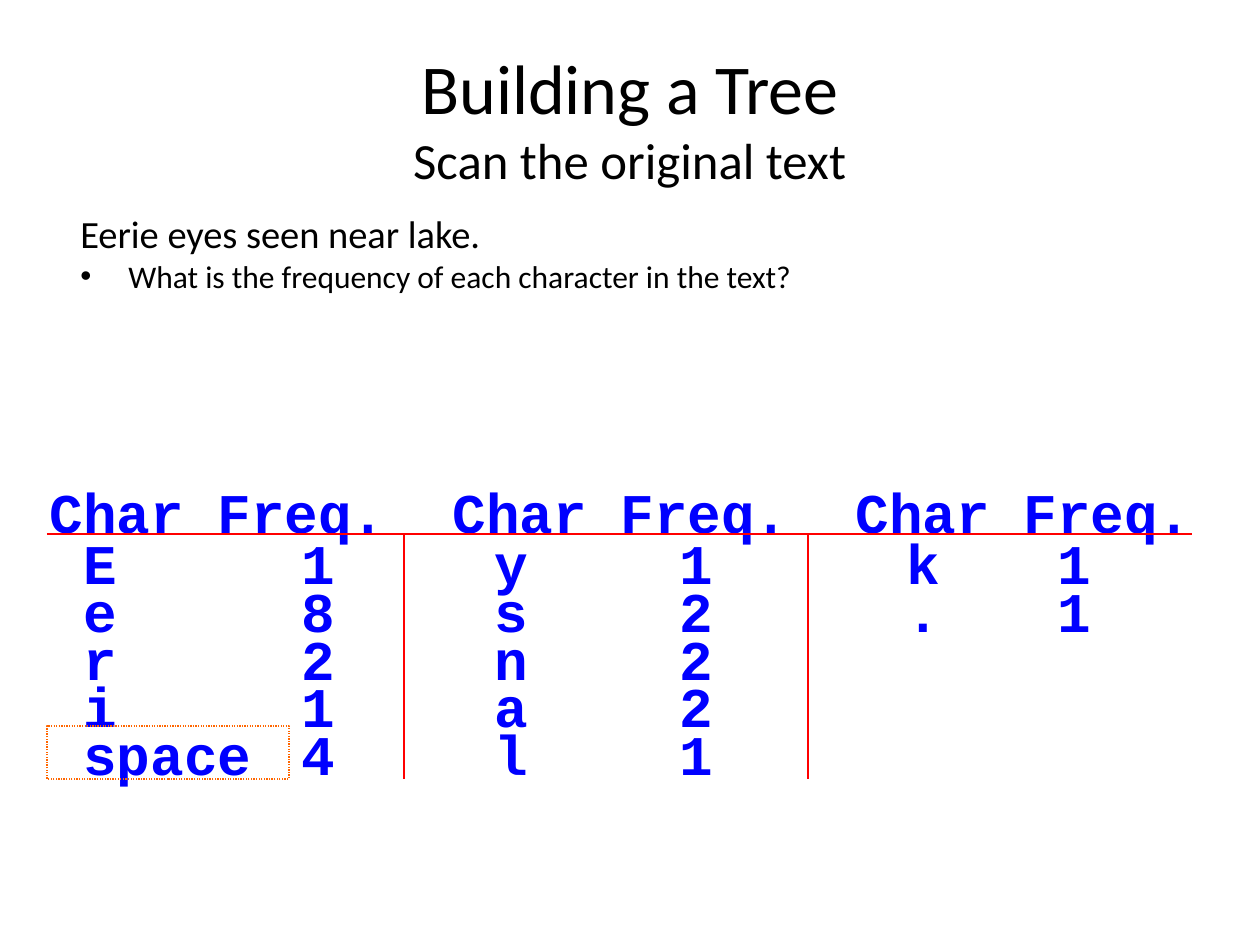
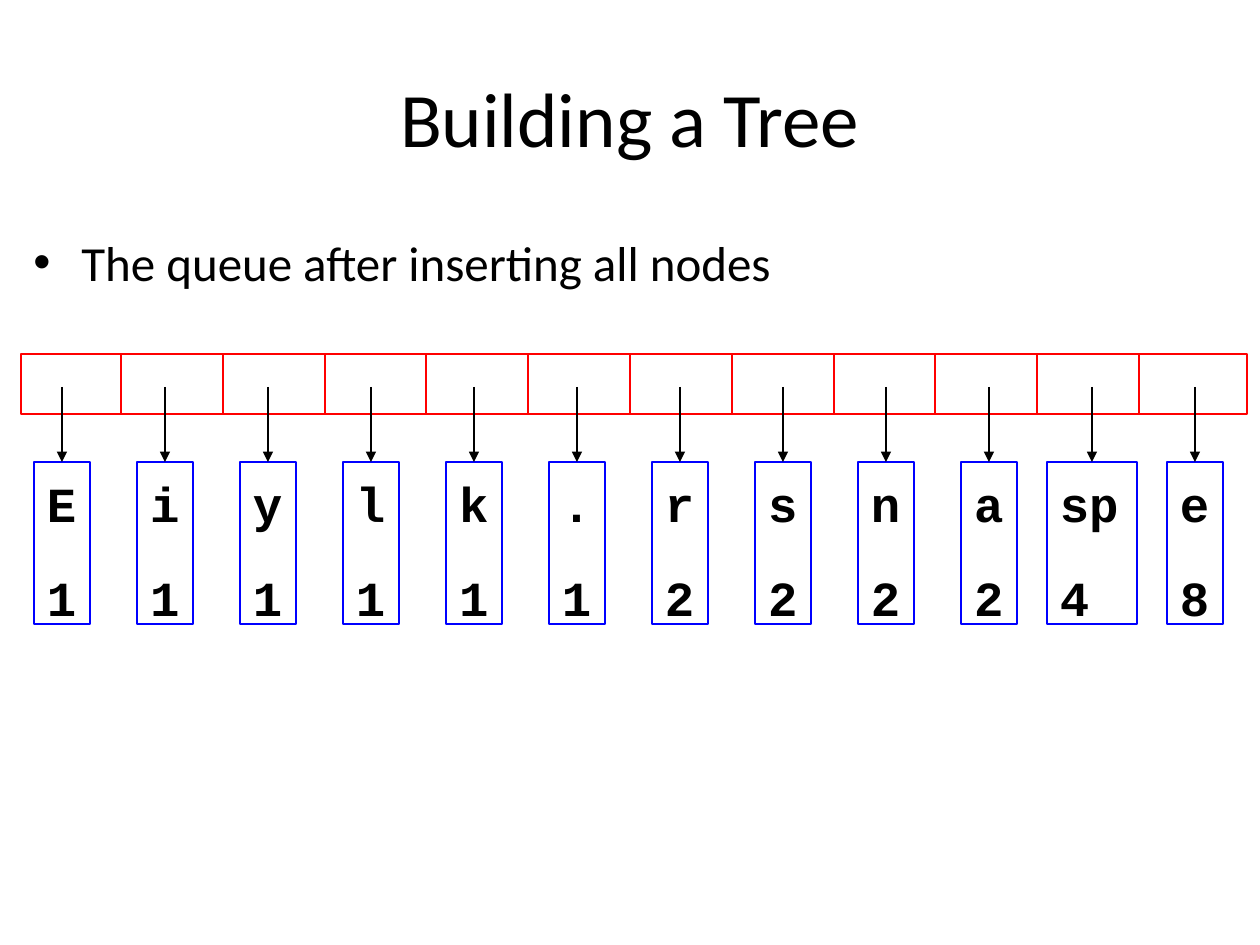
import dataclasses

import pptx
import pptx.dml.color
import pptx.enum.dml
import pptx.enum.shapes
import pptx.enum.text
import pptx.oxml.ns
import pptx.util
from lxml import etree

EMU_PER_PX = 914400 / 126
TITLE_BOX = (63, 38, 1134, 158)


@dataclasses.dataclass(frozen=True)
class Theme:
    """Colours, fonts and type sizes shared by the slides."""
    ink: str = "000000"
    paper: str = "FFFFFF"
    blue: str = "0000FF"
    red: str = "FF0000"
    orange: str = "FF6600"
    sans: str = "Calibri"
    mono: str = "Courier New"
    title: int = 44
    title_small: int = 40
    subtitle: int = 29
    bullet: int = 28
    sample: int = 22
    question: int = 18
    frequency: int = 32
    node: int = 28
    rule: float = 0.75


THEME = Theme()

FREQUENCIES = [
    ["Char", "Freq.", "Char", "Freq.", "Char", "Freq."],
    ["E", "1", "y", "1", "k", "1"],
    ["e", "8", "s", "2", ".", "1"],
    ["r", "2", "n", "2"],
    ["i", "1", "a", "2"],
    ["space", "4", "l", "1"],
]
HEADER_STOPS = [168, 403, 571, 806, 974]
ENTRY_STOPS = [34, 252, 445, 630, 857, 1008]

QUEUE = [("E", 1), ("i", 1), ("y", 1), ("l", 1), ("k", 1), (".", 1),
         ("r", 2), ("s", 2), ("n", 2), ("a", 2), ("sp", 4), ("e", 8)]


def px(length):
    """Turn pixels into EMU."""
    return pptx.util.Emu(round(length * EMU_PER_PX))


def rgb(colour):
    """Turn a hex string into a colour."""
    return pptx.dml.color.RGBColor.from_string(colour)


def add_run(paragraph, text, size, font=THEME.sans, colour=THEME.ink, bold=False):
    """Add one styled run to a paragraph."""
    run = paragraph.add_run()
    run.text = text
    run.font.size = pptx.util.Pt(size)
    run.font.name = font
    run.font.bold = bold
    run.font.color.rgb = rgb(colour)


def add_text_box(slide, box):
    """Add a wrapping text box and return its frame."""
    frame = slide.shapes.add_textbox(*map(px, box)).text_frame
    frame.word_wrap = True
    return frame


def add_rect(slide, box, line, fill=None):
    """Add an outlined rectangle."""
    rect = slide.shapes.add_shape(
        pptx.enum.shapes.MSO_SHAPE.RECTANGLE, *map(px, box))
    rect.shadow.inherit = False
    rect.line.color.rgb = rgb(line)
    rect.line.width = pptx.util.Pt(THEME.rule)
    if fill:
        rect.fill.solid()
        rect.fill.fore_color.rgb = rgb(fill)
    else:
        rect.fill.background()
    return rect


def add_line(slide, start, end, colour):
    """Add a straight line between two points."""
    line = slide.shapes.add_connector(
        pptx.enum.shapes.MSO_CONNECTOR.STRAIGHT, *map(px, start + end))
    line.line.color.rgb = rgb(colour)
    line.line.width = pptx.util.Pt(THEME.rule)
    properties = line._element.spPr
    etree.SubElement(properties, pptx.oxml.ns.qn("a:effectLst"))
    return line


def add_arrow(slide, start, target):
    """Add an arrow from a point to the top middle of a shape."""
    arrow = add_line(slide, start, start, THEME.ink)
    arrow.end_connect(target, 0)
    outline = arrow.line._get_or_add_ln()
    etree.SubElement(outline, pptx.oxml.ns.qn("a:tailEnd"), type="triangle")


def set_bullet(paragraph, indent):
    """Give a paragraph a hanging round bullet."""
    properties = paragraph._p.get_or_add_pPr()
    properties.set("marL", str(px(indent)))
    properties.set("indent", str(-px(indent)))
    etree.SubElement(properties, pptx.oxml.ns.qn("a:buFont"), typeface="Arial")
    etree.SubElement(properties, pptx.oxml.ns.qn("a:buChar"), char="•")


def set_tab_stops(paragraph, stops):
    """Set left tab stops at the given distances."""
    properties = paragraph._p.get_or_add_pPr()
    tabs = etree.SubElement(properties, pptx.oxml.ns.qn("a:tabLst"))
    for stop in stops:
        etree.SubElement(tabs, pptx.oxml.ns.qn("a:tab"), pos=str(px(stop)), algn="l")


def add_title(slide, size, subtitle=None):
    """Place the centred title, with a smaller second line if given."""
    frame = add_text_box(slide, TITLE_BOX)
    frame.vertical_anchor = pptx.enum.text.MSO_ANCHOR.MIDDLE
    heading = frame.paragraphs[0]
    heading.alignment = pptx.enum.text.PP_ALIGN.CENTER
    add_run(heading, "Building a Tree", size)
    if subtitle:
        heading.add_line_break()
        add_run(heading, subtitle, THEME.subtitle)


def add_sample_text(slide, box):
    """Place the sample sentence and the question about it."""
    frame = add_text_box(slide, box)
    sample = frame.paragraphs[0]
    question = frame.add_paragraph()
    sample.line_spacing = question.line_spacing = 0.8
    question.space_before = pptx.util.Pt(4.5)
    set_bullet(question, 48)
    add_run(sample, "Eerie eyes seen near lake.", THEME.sample)
    add_run(question, "What is the frequency of each character in the text?",
            THEME.question)


def add_frequencies(slide, box):
    """Place the character counts in tabbed columns with their rules."""
    left, top, width, height = box
    frame = add_text_box(slide, box)
    for number, entries in enumerate(FREQUENCIES):
        is_header = number == 0
        row = frame.paragraphs[0] if is_header else frame.add_paragraph()
        row.line_spacing = pptx.util.Pt(31 if is_header else 27.3)
        row.space_after = pptx.util.Pt(2 if is_header else 0)
        set_tab_stops(row, HEADER_STOPS if is_header else ENTRY_STOPS)
        lead = "" if is_header else "\t"
        add_run(row, lead + "\t".join(entries), THEME.frequency,
                THEME.mono, THEME.blue, True)

    rule_y, bottom = top + 50, top + 295
    add_line(slide, (left + 10, rule_y), (left + 1155, rule_y), THEME.red)
    space_mark = add_rect(slide, (left + 10, bottom - 53, 242, 53), THEME.orange)
    space_mark.line.dash_style = pptx.enum.dml.MSO_LINE.ROUND_DOT
    for divider in (367, 771):
        add_line(slide, (left + divider, rule_y), (left + divider, bottom), THEME.red)


def add_queue_cells(slide, box):
    """Place the row of queue cells."""
    left, top, width, height = box
    add_rect(slide, box, THEME.red, THEME.paper)
    for number in range(len(QUEUE) - 1):
        x = left + 100 + round(101.8 * number)
        add_line(slide, (x, top), (x, top + height), THEME.red)


def add_node(slide, box, character, count):
    """Place one tree node showing a character above its count."""
    node = add_rect(slide, box, THEME.blue)
    frame = node.text_frame
    frame.word_wrap = True
    frame.vertical_anchor = pptx.enum.text.MSO_ANCHOR.TOP
    frame.margin_left = frame.margin_right = px(13)
    frame.margin_top, frame.margin_bottom = px(12), px(6)
    character_line = frame.paragraphs[0]
    count_line = frame.add_paragraph()
    count_line.space_before = pptx.util.Pt(20)
    for line, text in ((character_line, character), (count_line, str(count))):
        line.alignment = pptx.enum.text.PP_ALIGN.LEFT
        add_run(line, text, THEME.node, THEME.mono, bold=True)
    return node


def add_queue(slide, box):
    """Place the queue cells, the nodes below and the arrows between."""
    left, top, width, height = box
    add_queue_cells(slide, (left, top, width, 60))
    for number, (character, count) in enumerate(QUEUE):
        center = left + 41 + 103 * number
        node_width = 56 if len(character) == 1 else 90
        node_box = (center - node_width // 2, top + 108, node_width, height - 108)
        node = add_node(slide, node_box, character, count)
        add_arrow(slide, (center, top + 33), node)


def build_scan_slide(slide):
    """Build the slide that counts the characters."""
    add_title(slide, THEME.title_small, "Scan the original text")
    add_sample_text(slide, (68, 213, 1158, 94))
    add_frequencies(slide, (37, 484, 1216, 299))


def build_queue_slide(slide):
    """Build the slide that shows the filled queue."""
    add_title(slide, THEME.title)
    message = add_text_box(slide, (21, 226, 1239, 80)).paragraphs[0]
    set_bullet(message, 48)
    add_run(message, "The queue after inserting all nodes", THEME.bullet)
    add_queue(slide, (21, 354, 1226, 270))


def main():
    """Build the presentation and save it."""
    deck = pptx.Presentation()
    deck.slide_width, deck.slide_height = px(1260), px(945)
    for build in (build_scan_slide, build_queue_slide):
        build(deck.slides.add_slide(deck.slide_layouts[6]))
    deck.save("out.pptx")


if __name__ == "__main__":
    main()
